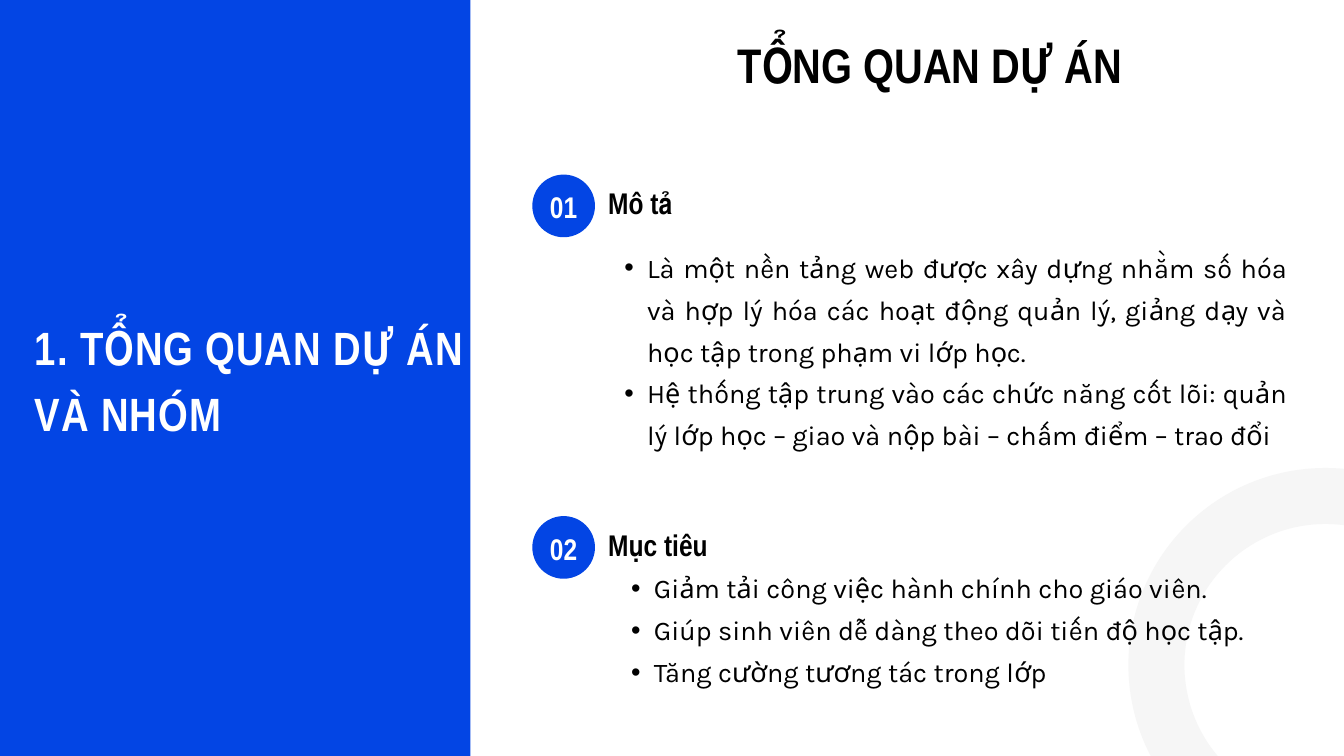
from lxml import etree
from pptx import Presentation
from pptx.dml.color import RGBColor
from pptx.enum.shapes import MSO_SHAPE
from pptx.enum.text import MSO_ANCHOR, MSO_AUTO_SIZE, PP_ALIGN
from pptx.oxml.ns import qn
from pptx.util import Cm, Pt

BLUE = RGBColor(0x03, 0x45, 0xE4)
PALE_GREY = RGBColor(0xF6, 0xF6, 0xF6)
BLACK = RGBColor(0, 0, 0)
WHITE = RGBColor(0xFF, 0xFF, 0xFF)

HEADING_FONT, BODY_FONT = "Arial Narrow", "Karla"
LEFT, CENTER, JUSTIFY = PP_ALIGN.LEFT, PP_ALIGN.CENTER, PP_ALIGN.JUSTIFY
TOP, MIDDLE = MSO_ANCHOR.TOP, MSO_ANCHOR.MIDDLE
RECTANGLE, OVAL = MSO_SHAPE.RECTANGLE, MSO_SHAPE.OVAL
NO_AUTOFIT = MSO_AUTO_SIZE.NONE

TITLE = "TỔNG QUAN DỰ ÁN"
CHAPTER = "1. TỔNG QUAN DỰ ÁN VÀ NHÓM"

# Badge number, heading, top of badge, left and top of list (cm), list items
SECTIONS = [
    ("01", "Mô tả", 6.6, 22.73, 9.14, [
        "Là một nền tảng web được xây dựng nhằm số hóa và hợp lý hóa các hoạt động "
        "quản lý, giảng dạy và học tập trong phạm vi lớp học.",
        "Hệ thống tập trung vào các chức năng cốt lõi: quản lý lớp học – giao và "
        "nộp bài – chấm điểm – trao đổi",
    ]),
    ("02", "Mục tiêu", 19.51, 22.99, 21.26, [
        "Giảm tải công việc hành chính cho giáo viên.",
        "Giúp sinh viên dễ dàng theo dõi tiến độ học tập.",
        "Tăng cường tương tác trong lớp",
    ]),
]


def place(shape, left, top, width, height):
    shape.left, shape.top = Cm(left), Cm(top)
    shape.width, shape.height = Cm(width), Cm(height)


def set_text(shape, text, size, line_height, color, font=HEADING_FONT,
             bold=True, align=LEFT, anchor=TOP):
    """Fill a shape with text, one paragraph per line, without margins."""
    frame = shape.text_frame
    frame.text = text
    frame.word_wrap = True
    frame.auto_size = NO_AUTOFIT
    frame.vertical_anchor = anchor
    frame.margin_left = frame.margin_right = 0
    frame.margin_top = frame.margin_bottom = 0
    for para in frame.paragraphs:
        para.alignment = align
        para.line_spacing = Pt(line_height)
        para.space_before = Pt(0)
        for span in para.runs:
            span.font.name = font
            span.font.size = Pt(size)
            span.font.bold = bold
            span.font.color.rgb = color


def add_text(page, left, top, width, height, text, size, line_height, color, **style):
    box = page.shapes.add_textbox(Cm(left), Cm(top), Cm(width), Cm(height))
    set_text(box, text, size, line_height, color, **style)
    return box


def add_filled(page, kind, left, top, width, height):
    shape = page.shapes.add_shape(kind, Cm(left), Cm(top), Cm(width), Cm(height))
    shape.shadow.inherit = False
    shape.fill.solid()
    shape.fill.fore_color.rgb = BLUE
    shape.line.fill.background()
    return shape


def add_ring(page, left, top, diameter):
    ring = page.shapes.add_shape(OVAL, Cm(left), Cm(top), Cm(diameter), Cm(diameter))
    ring.shadow.inherit = False
    ring.fill.background()
    ring.line.color.rgb = PALE_GREY
    ring.line.width = Pt(60)


def add_bullet(para):
    para.level = 1
    props = para._p.get_or_add_pPr()
    props.set("marL", str(Cm(1.73)))
    props.set("indent", str(-Cm(0.86)))
    etree.SubElement(props, qn("a:buFont")).set("typeface", "Arial")
    etree.SubElement(props, qn("a:buChar")).set("char", "•")


def add_section(page, number, heading, top, list_left, list_top, items):
    badge = add_filled(page, OVAL, 20.12, top, 2.37, 2.37)
    set_text(badge, number, 32, 44.8, WHITE, align=CENTER, anchor=MIDDLE)
    badge.text_frame.margin_bottom = Cm(0.15)
    add_text(page, 22.99, top + 0.16, 15.29, 1.5, heading, 32, 44.8, BLACK)
    box = add_text(page, list_left, list_top, 25.91, 1.55 * len(items), "\n".join(items),
                   29, 44.9, BLACK, font=BODY_FONT, bold=False, align=JUSTIFY)
    for para in box.text_frame.paragraphs:
        add_bullet(para)


def add_chapter_panel(page):
    add_filled(page, RECTANGLE, -0.41, 0, 18.19, 28.58)
    box = add_text(page, 1.32, 11.71, 16.46, 4.85, CHAPTER, 50, 70, WHITE)
    for span in box.text_frame.paragraphs[0].runs:
        span._r.get_or_add_rPr().set("spc", "100")


def main():
    deck = Presentation()
    deck.slide_width, deck.slide_height = Cm(50.8), Cm(28.58)
    page = deck.slides.add_slide(deck.slide_layouts[5])

    title = page.shapes.title
    place(title, 27.51, 0.94, 15.29, 2.49)
    set_text(title, TITLE, 52, 72.8, BLACK, align=CENTER)

    add_chapter_panel(page)
    add_ring(page, 43.71, 18.75, 12.78)
    for section in SECTIONS:
        add_section(page, *section)
    deck.save("out.pptx")


if __name__ == "__main__":
    main()
